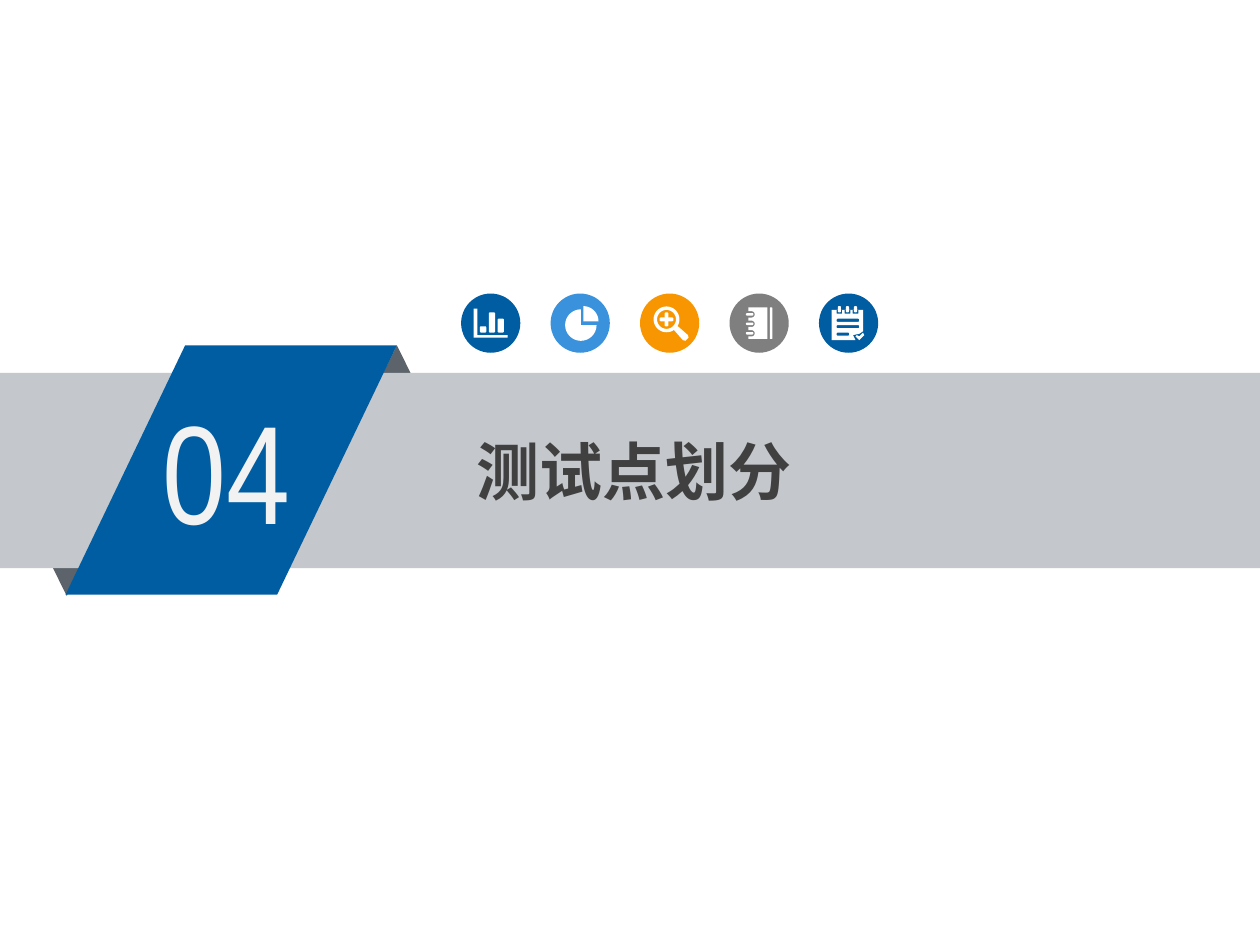
import math
import pptx
import pptx.dml.color
import pptx.enum.shapes
import pptx.oxml
import pptx.oxml.ns
import pptx.util

KIND = pptx.enum.shapes.MSO_SHAPE


def tint(code):
    return pptx.dml.color.RGBColor.from_string(code)


def arc(x, y, r, a, b, n=24):
    turns = [math.radians(a + (b - a) * i / n) for i in range(n + 1)]
    return [(x + r * math.cos(t), y + r * math.sin(t)) for t in turns]


def disc(x, y, r):
    return arc(x, y, r, 0, 360, 48)


def box(x, y, w, h, r=1):
    ends = [(x + w - r, y + h - r), (x + r, y + h - r), (x + r, y + r), (x + w - r, y + r)]
    return [p for i, (u, v) in enumerate(ends) for p in arc(u, v, r, 90 * i, 90 * i + 90, 6)]


class Deck:
    """Draw on a slide whose grid has 1000 columns and 750 rows."""

    blue, sky, gold, gray = "005DA2", "3992DB", "F79600", "7F7F7F"
    band, fold, white, pale, ink = "C4C7CB", "5D636A", "FFFFFF", "F2F2F2", "404040"

    def __init__(self):
        self.file = pptx.Presentation()
        self.file.slide_width = pptx.util.Inches(10)
        self.file.slide_height = pptx.util.Inches(7.5)
        self.unit = self.file.slide_width / 1000
        self.page = self.file.slides.add_slide(self.file.slide_layouts[6])
        self.root = self.page.shapes

    def grid(self, *vals):
        return [round(v * self.unit) for v in vals]

    def group(self):
        return self.root.add_group_shape().shapes

    def paint(self, item, code):
        item.shadow.inherit = False
        item.fill.solid()
        item.fill.fore_color.rgb = tint(code)
        item.line.fill.background()
        return item

    def shape(self, home, kind, at, code):
        return self.paint(home.add_shape(kind, *self.grid(*at)), code)

    def trace(self, home, x, y, loops, code):
        loops = [[self.grid(x + u, y + v) for u, v in loop] for loop in loops]
        pen = home.build_freeform(*loops[0][0], scale=1.0)
        for i, loop in enumerate(loops):
            if i:
                pen.move_to(*loop[0])
            pen.add_line_segments(loop[1:], close=True)
        return self.paint(pen.convert_to_shape(), code)

    def text(self, home, at, words, side, look, code):
        frame = home.add_textbox(*self.grid(*at)).text_frame
        left, top = self.grid(side, 4)
        form = dict(word_wrap=True, margin_left=left, margin_right=left,
                    margin_top=top, margin_bottom=top)
        for key, val in form.items():
            setattr(frame, key, val)
        run = frame.paragraphs[0].add_run()
        run.text = words
        for key, val in look.items():
            setattr(run.font, key, val)
        run.font.color.rgb = tint(code)
        east = pptx.oxml.parse_xml("<a:ea %s/>" % pptx.oxml.ns.nsdecls("a"))
        east.set("typeface", look["name"])
        run.font._element.append(east)

    def badge(self, x, code, loops):
        home, y = self.group(), 233
        self.shape(home, KIND.OVAL, (x, y, 47, 47), code)
        self.trace(home, x, y, loops, self.white)


def bars():
    axis = [(10, 12), (13, 12), (13, 33), (37, 33), (37, 35), (10, 35)]
    return [axis] + [box(15 + 7 * i, 31 - h, 5, h) for i, h in enumerate((5, 16, 11))]


def pie():
    return [[(26, 22)] + arc(26, 22, 12, -90, 0), [(24, 25)] + arc(24, 25, 12.5, 0, 270)]


def lens():
    grip = [(27, 29), (30, 26), (38, 33), (38.5, 35), (36, 37.5), (34, 37)]
    plus = [box(15.5, 19, 11, 3), box(19.5, 15, 3, 4), box(19.5, 22, 3, 4)]
    return [disc(21, 20.5, 10.25), disc(21, 20.5, 7.5), grip] + plus


def book():
    rows = [31.5, 24, 16.5]
    body = [(30, 11), (30, 36), (15, 36)]
    for y in rows:
        body += [(15, y + 2.5)] + arc(17.5, y, 2.5, 90, -90) + [(15, y - 2.5)]
    rings = [box(13, y - 1, 6, 2) for y in rows]
    return [body + [(15, 11)], box(32, 11, 2, 25, 0.5)] + rings


def notes():
    sheet = [(10, 13), (35, 13), (35, 30), (32, 32), (27, 33), (29, 37), (10, 37)]
    tick = [(29, 34), (30, 33), (32, 34), (35, 31), (36, 33), (32, 37)]
    lines = [box(14, 20, 18, 2.5), box(14, 25, 18, 2.5), box(14, 31, 10, 2.5)]
    pins = []
    for i in range(3):
        x = 14 + 6.4 * i
        pins += [box(x, 13, 4.5, 3, 0), box(x + 1, 10, 2.5, 5)]
    return [sheet, tick] + lines + pins


def main():
    deck = Deck()
    home = deck.group()
    deck.shape(home, KIND.ISOSCELES_TRIANGLE, (270, 274, 90, 91), deck.fold)
    deck.shape(home, KIND.ISOSCELES_TRIANGLE, (8, 382, 90, 91), deck.fold).rotation = 180
    deck.shape(home, KIND.RECTANGLE, (0, 296, 1000, 155), deck.band)
    deck.shape(home, KIND.PARALLELOGRAM, (52, 274, 263, 198), deck.blue).adjustments[0] = 0.48
    deck.text(home, (122, 301, 145, 142), "04", 7,
              dict(name="Arial Narrow", size=pptx.util.Pt(80)), deck.pale)
    deck.text(deck.root, (370, 339, 575, 68), "测试点划分", 8,
              dict(name="Noto Sans CJK SC", size=pptx.util.Pt(36), bold=True), deck.ink)
    icons = [(deck.blue, bars), (deck.sky, pie), (deck.gold, lens),
             (deck.gray, book), (deck.blue, notes)]
    for i, (code, draw) in enumerate(icons):
        deck.badge(366 + 71 * i, code, draw())
    deck.file.save("out.pptx")


if __name__ == "__main__":
    main()
